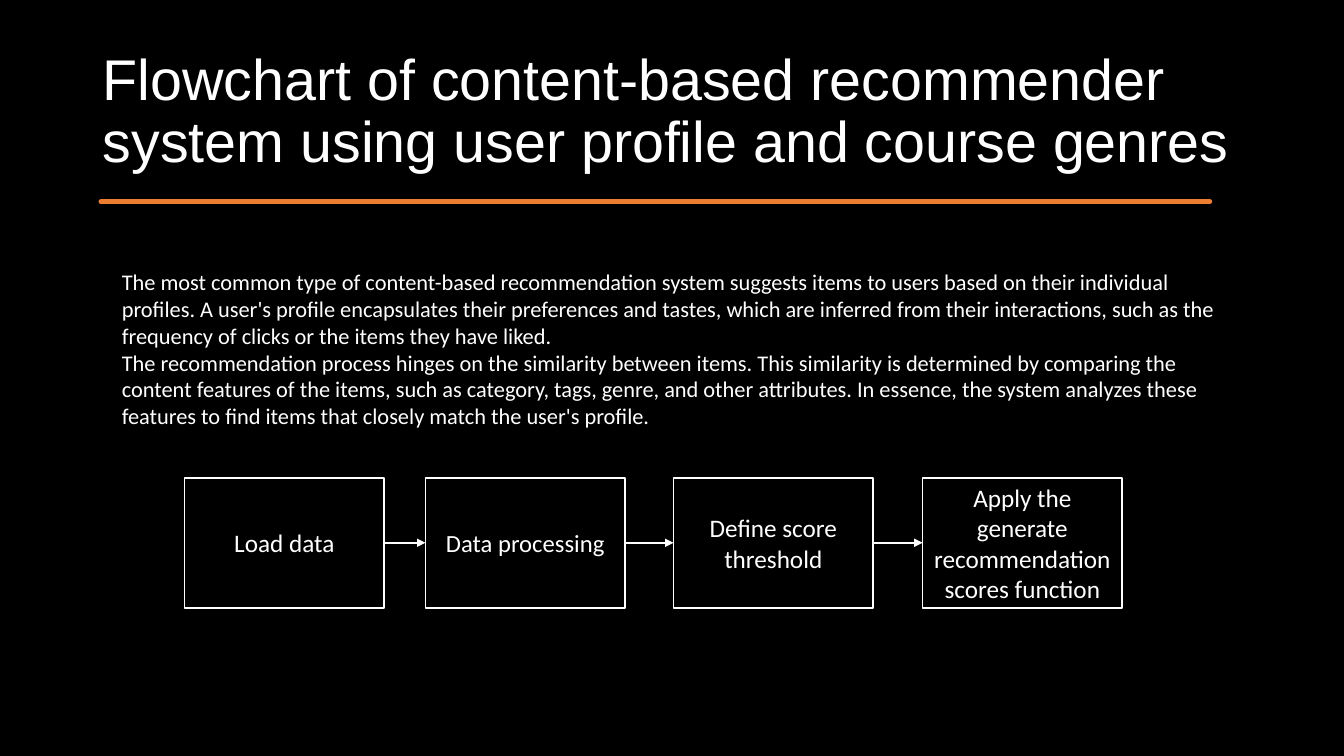
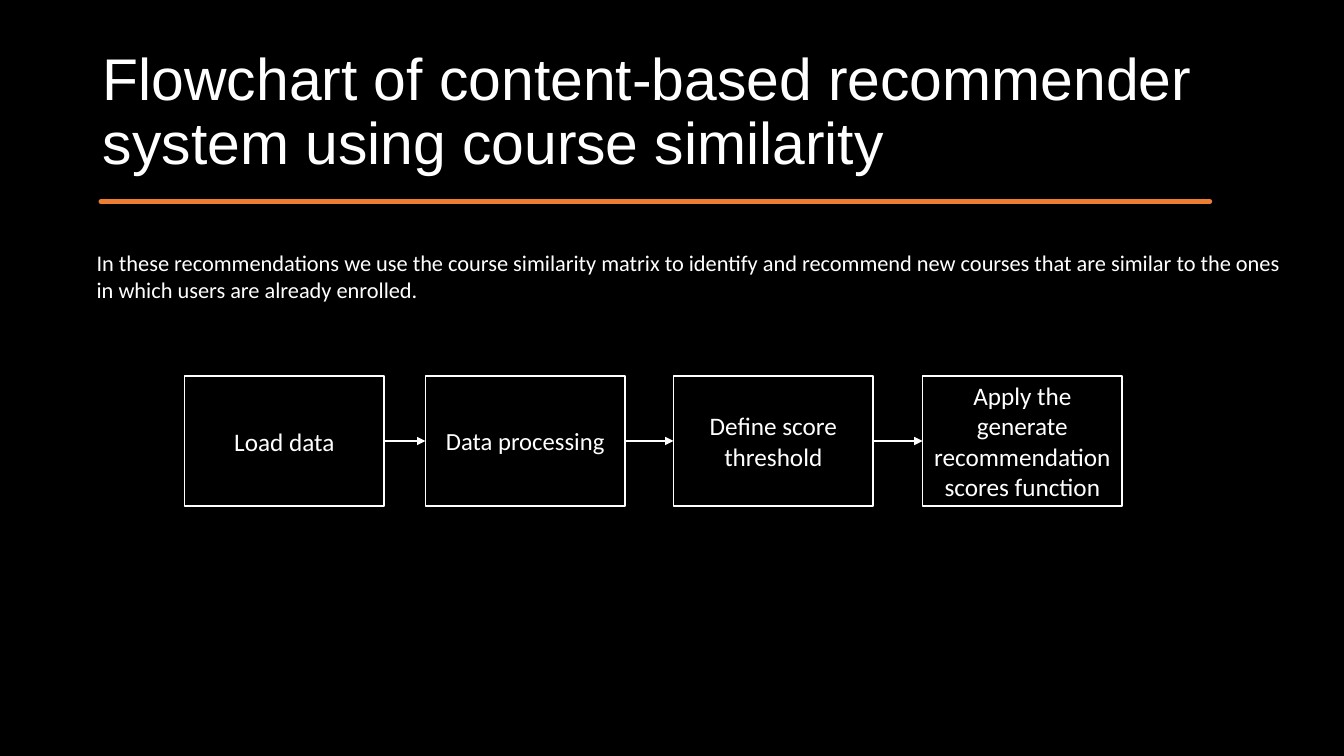
from lxml import etree
from pptx import Presentation
from pptx.dml.color import RGBColor
from pptx.enum.shapes import MSO_CONNECTOR, MSO_SHAPE
from pptx.enum.text import MSO_ANCHOR, MSO_AUTO_SIZE, PP_ALIGN
from pptx.oxml.ns import qn
from pptx.util import Inches, Pt

STRAIGHT = MSO_CONNECTOR.STRAIGHT
RECTANGLE = MSO_SHAPE.RECTANGLE
TOP, MIDDLE = MSO_ANCHOR.TOP, MSO_ANCHOR.MIDDLE
LEFT, CENTER = PP_ALIGN.LEFT, PP_ALIGN.CENTER
BLACK, WHITE, ORANGE = "000000", "FFFFFF", "ED7D31"
LEFT_SIDE, RIGHT_SIDE = 1, 3
UNITS_PER_INCH = 914400

# Uneven brush stroke under the title: upper edge, then lower edge back
STROKE_OUTLINE = [
    (0.92, 2.04), (1.45, 2.03), (1.9, 2.04), (2.97, 2.04), (3.61, 2.03),
    (3.9, 2.04), (5.1, 2.04), (5.45, 2.02), (5.8, 2.04), (6.31, 2.04),
    (6.85, 2.02), (7.6, 2.03), (8.06, 2.04), (9.24, 2.04), (9.75, 2.02),
    (10.23, 2.04), (10.7, 2.03), (11.4, 2.02), (11.7, 2.04), (12.32, 2.04),
    (12.32, 2.06), (11.56, 2.06), (11.15, 2.08), (10.3, 2.06), (8.9, 2.06),
    (8.55, 2.08), (8.2, 2.06), (5.7, 2.06), (5.4, 2.07), (5.06, 2.06),
    (4.41, 2.06), (4.05, 2.08), (3.75, 2.06), (2.4, 2.06), (2.0, 2.07),
    (1.7, 2.06), (1.4, 2.07), (0.92, 2.06),
]

BOX_WIDTH, BOX_HEIGHT = 1.98, 1.29
# Left edge, label and text size of each step
STEPS = [
    (1.83, "Load data", 18),
    (4.22, "Data processing", 17.6),
    (6.68, "Define score threshold", 18),
    (9.15, "Apply the generate recommendation scores function", 18),
]

SLIDES = [
    {
        "title": "Flowchart of content-based recommender system using user profile and course genres",
        "title_size": 41,
        "intro": [
            "The most common type of content-based recommendation system suggests items to users "
            "based on their individual profiles. A user's profile encapsulates their preferences "
            "and tastes, which are inferred from their interactions, such as the frequency of "
            "clicks or the items they have liked.",
            "The recommendation process hinges on the similarity between items. This similarity "
            "is determined by comparing the content features of the items, such as category, "
            "tags, genre, and other attributes. In essence, the system analyzes these features "
            "to find items that closely match the user's profile.",
        ],
        "intro_place": (1.11, 2.61, 11.18, 1.72),
        "intro_anchor": TOP,
        "steps_top": 4.74,
    },
    {
        "title": "Flowchart of content-based recommender system using course similarity",
        "title_size": 42,
        "intro": [
            "In these recommendations we use the course similarity matrix to identify and "
            "recommend new courses that are similar to the ones in which users are already enrolled.",
        ],
        "intro_place": (0.86, 2.42, 12.12, 0.64),
        "intro_anchor": MIDDLE,
        "steps_top": 3.73,
    },
]


def color(hex_code):
    return RGBColor.from_string(hex_code)


def format_text(frame, font, size, alignment, anchor):
    frame.word_wrap = True
    frame.auto_size = MSO_AUTO_SIZE.NONE
    frame.vertical_anchor = anchor
    for para in frame.paragraphs:
        para.alignment = alignment
        for span in para.runs:
            span.font.name = font
            span.font.size = Pt(size)
            span.font.color.rgb = color(WHITE)


deck = Presentation()
deck.slide_width, deck.slide_height = Inches(13.33), Inches(7.5)

background = deck.slide_master.background.fill
background.solid()
background.fore_color.rgb = color(BLACK)

layout = deck.slide_layouts.get_by_name("Title Only")
layout_title = layout.placeholders[0]
layout_title.left, layout_title.top = Inches(0.92), Inches(0.4)
layout_title.width, layout_title.height = Inches(11.5), Inches(1.45)

for content in SLIDES:
    page = deck.slides.add_slide(layout)

    title = page.shapes.title
    title.text_frame.text = content["title"]
    format_text(title.text_frame, "Arial", content["title_size"], LEFT, MIDDLE)
    title.text_frame.paragraphs[0].line_spacing = 0.9

    builder = page.shapes.build_freeform(*STROKE_OUTLINE[0], scale=UNITS_PER_INCH)
    builder.add_line_segments(STROKE_OUTLINE[1:], close=True)
    stroke = builder.convert_to_shape()
    stroke.shadow.inherit = False
    stroke.fill.solid()
    stroke.fill.fore_color.rgb = color(ORANGE)
    stroke.line.color.rgb = color(ORANGE)
    stroke.line.width = Pt(3.25)
    etree.SubElement(stroke.line._get_or_add_ln(), qn("a:round"))

    intro = page.shapes.add_textbox(*[Inches(length) for length in content["intro_place"]])
    intro.text_frame.text = "\n".join(content["intro"])
    format_text(intro.text_frame, "Calibri", 16, LEFT, content["intro_anchor"])

    previous_box = None
    for left, label, size in STEPS:
        box = page.shapes.add_shape(
            RECTANGLE, Inches(left), Inches(content["steps_top"]),
            Inches(BOX_WIDTH), Inches(BOX_HEIGHT))
        box.shadow.inherit = False
        box.fill.solid()
        box.fill.fore_color.rgb = color(BLACK)
        box.line.color.rgb = color(WHITE)
        box.line.width = Pt(1)
        box.text_frame.text = label
        format_text(box.text_frame, "Calibri", size, CENTER, MIDDLE)

        if previous_box is not None:
            arrow = page.shapes.add_connector(STRAIGHT, 0, 0, 0, 0)
            arrow.begin_connect(previous_box, RIGHT_SIDE)
            arrow.end_connect(box, LEFT_SIDE)
            arrow.line.color.rgb = color(WHITE)
            arrow.line.width = Pt(1.25)
            etree.SubElement(arrow.line._get_or_add_ln(), qn("a:tailEnd"), type="triangle")
            etree.SubElement(arrow._element.spPr, qn("a:effectLst"))
        previous_box = box

deck.save("out.pptx")
